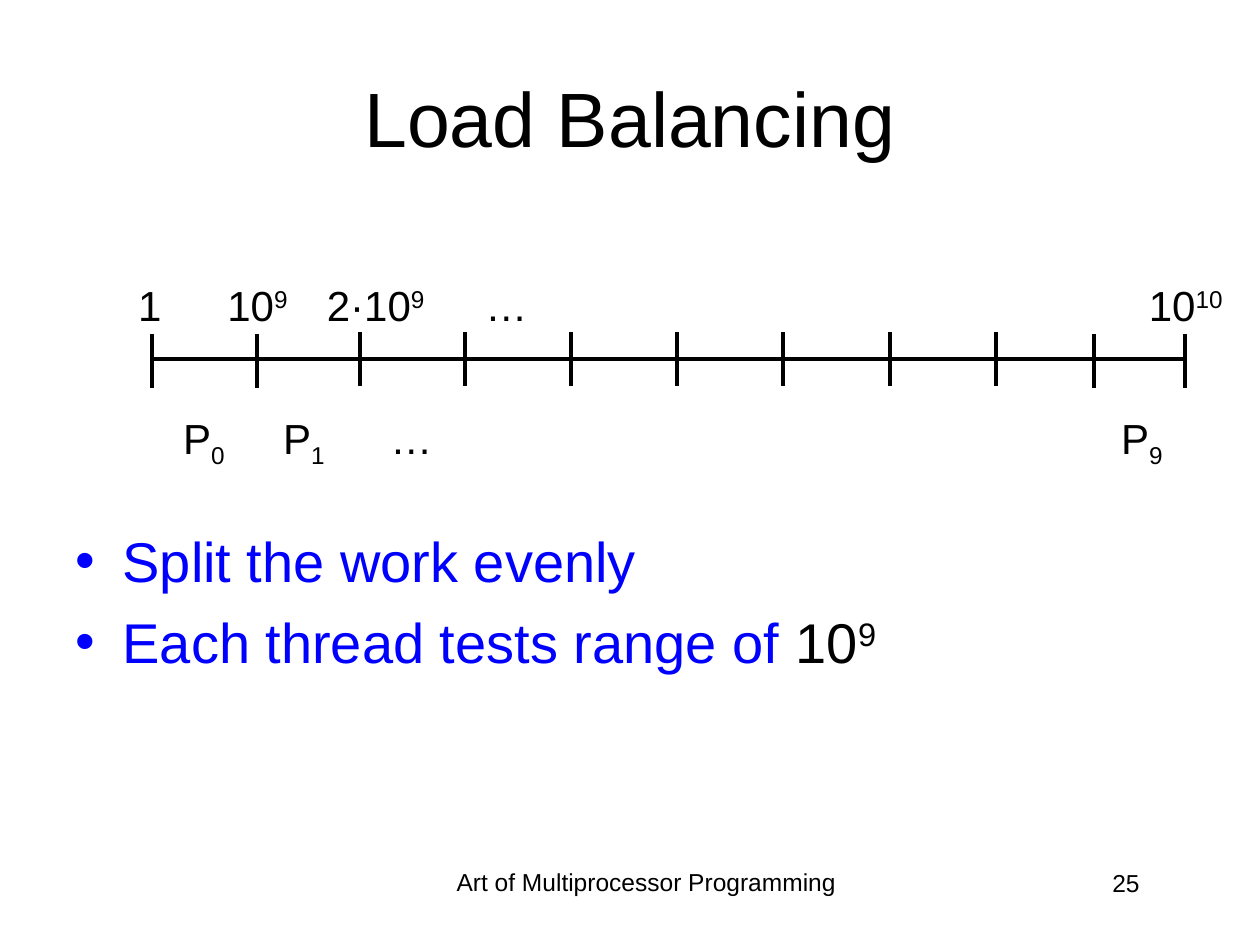
from lxml import etree
from pptx import Presentation
from pptx.dml.color import RGBColor
from pptx.enum.shapes import MSO_CONNECTOR
from pptx.enum.text import MSO_ANCHOR, PP_ALIGN
from pptx.oxml.ns import qn
from pptx.util import Pt

BLACK = RGBColor(0, 0, 0)
BLUE = RGBColor(0, 0, 255)
LEFT, CENTER, RIGHT = PP_ALIGN.LEFT, PP_ALIGN.CENTER, PP_ALIGN.RIGHT
MIDDLE, TOP = MSO_ANCHOR.MIDDLE, MSO_ANCHOR.TOP
STRAIGHT = MSO_CONNECTOR.STRAIGHT
FONT = "Arial"
EMU_PER_PX = 914400 / 126
SUPERSCRIPT, SUBSCRIPT = 30, -25


def px(length):
    return round(length * EMU_PER_PX)


def add_run(paragraph, text, size=24, color=BLACK, baseline=0):
    run = paragraph.add_run()
    run.text = text
    run.font.name = FONT
    run.font.size = Pt(size)
    run.font.color.rgb = color
    if baseline:
        run._r.get_or_add_rPr().set("baseline", str(baseline * 1000))


class SlideBuilder:
    def __init__(self, presentation):
        self.slide = presentation.slides.add_slide(presentation.slide_layouts[1])

    def place(self, shape, left, top, width, height):
        shape.left, shape.top = px(left), px(top)
        shape.width, shape.height = px(width), px(height)

    def title(self, text, box):
        shape = self.slide.shapes.title
        self.place(shape, *box)
        shape.text_frame.vertical_anchor = MIDDLE
        paragraph = shape.text_frame.paragraphs[0]
        paragraph.alignment = CENTER
        add_run(paragraph, text, size=44)

    def bullets(self, items, box, size=32, indent=47, gap=8):
        shape = self.slide.placeholders[1]
        self.place(shape, *box)
        frame = shape.text_frame
        frame.vertical_anchor = TOP
        frame.margin_top = px(12)
        for index, runs in enumerate(items):
            paragraph = frame.paragraphs[0] if index == 0 else frame.add_paragraph()
            properties = paragraph._p.get_or_add_pPr()
            properties.set("marL", str(px(indent)))
            properties.set("indent", str(-px(indent)))
            etree.SubElement(properties, qn("a:buChar")).set("char", "•")
            paragraph.alignment = LEFT
            paragraph.space_before = Pt(gap if index else 0)
            for text, color, baseline in runs:
                add_run(paragraph, text, size, color, baseline)

    def text(self, text, box, script="", baseline=0, size=24, align=RIGHT, wrap=False):
        shape = self.slide.shapes.add_textbox(*map(px, box))
        shape.text_frame.word_wrap = wrap
        paragraph = shape.text_frame.paragraphs[0]
        paragraph.alignment = align
        add_run(paragraph, text, size)
        if script:
            add_run(paragraph, script, size, baseline=baseline)

    def line(self, start_x, start_y, end_x, end_y):
        connector = self.slide.shapes.add_connector(
            STRAIGHT, px(start_x), px(start_y), px(end_x), px(end_y))
        connector.line.color.rgb = BLACK
        connector.line.width = Pt(2.25)
        etree.SubElement(connector._element.spPr, qn("a:effectLst"))


def main():
    presentation = Presentation()
    presentation.slide_width, presentation.slide_height = px(1260), px(945)
    builder = SlideBuilder(presentation)

    builder.title("Load Balancing", (63, 38, 1134, 158))
    builder.bullets([
        [("Split the work evenly", BLUE, 0)],
        [("Each thread tests range of ", BLUE, 0), ("10", BLACK, 0),
         ("9", BLACK, SUPERSCRIPT)],
    ], (63, 514, 1134, 222))

    builder.line(152, 359, 1185, 359)
    for tick_x in (152, 257, 1094, 1185):
        builder.line(tick_x, 334, tick_x, 388)
    for tick_x in (360, 465, 571, 677, 783, 890, 996):
        builder.line(tick_x, 332, tick_x, 386)

    for text, power, left, width in (
        ("1", "", 125, 49),
        ("10", "9", 212, 88),
        ("2·10", "9", 311, 126),
        ("…", "", 473, 66),
        ("10", "10", 1130, 105),
    ):
        builder.text(text, (left, 273, width, 63), power, SUPERSCRIPT)

    for text, number, left, width in (
        ("P", "0", 168, 69),
        ("P", "1", 268, 69),
        ("…", "", 378, 66),
        ("P", "9", 1106, 69),
    ):
        builder.text(text, (left, 406, width, 63), number, SUBSCRIPT)

    builder.text("Art of Multiprocessor Programming", (431, 861, 431, 66),
                 size=14, align=CENTER, wrap=True)
    builder.text("25", (890, 862, 262, 63), size=14, wrap=True)

    presentation.save("out.pptx")


if __name__ == "__main__":
    main()
